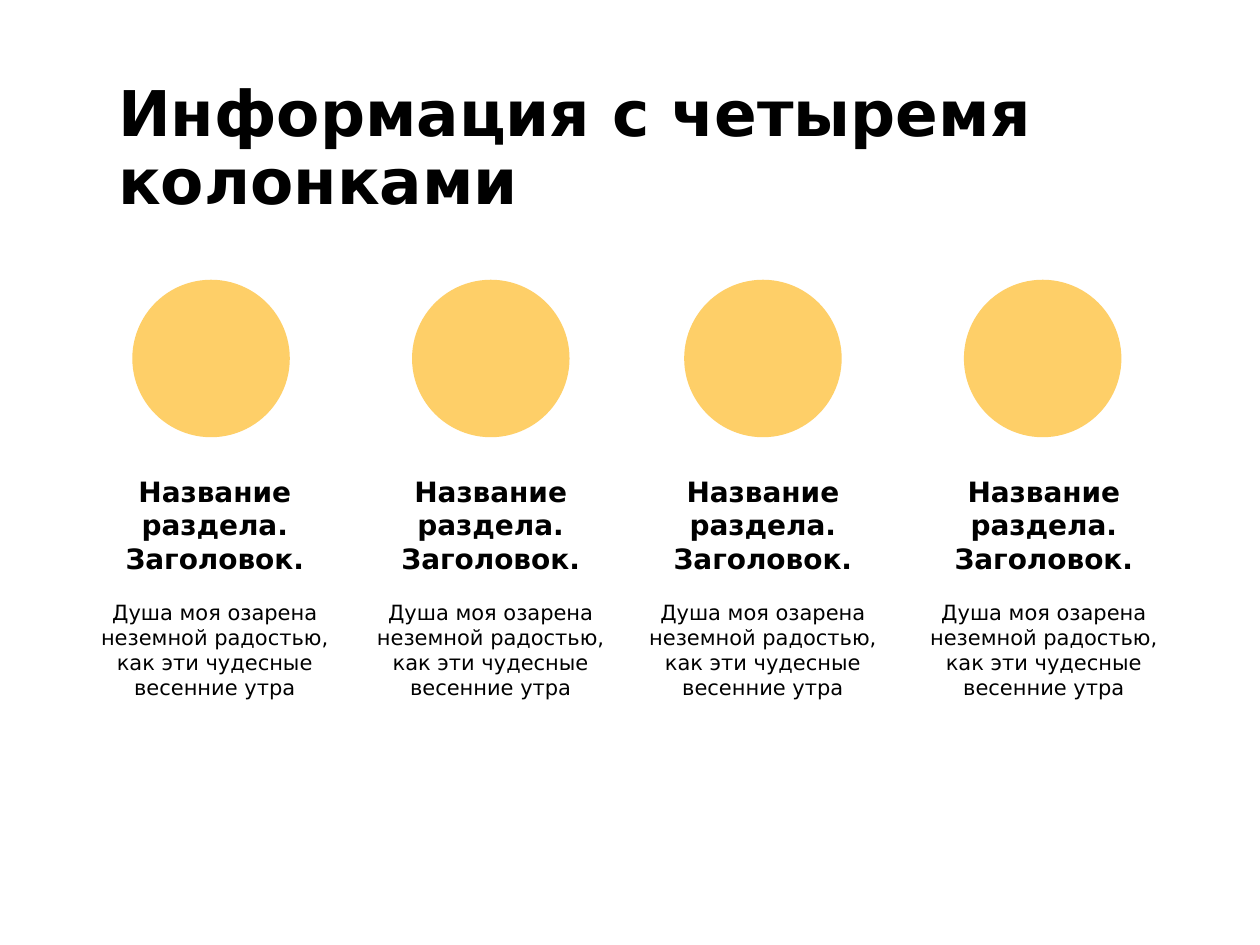
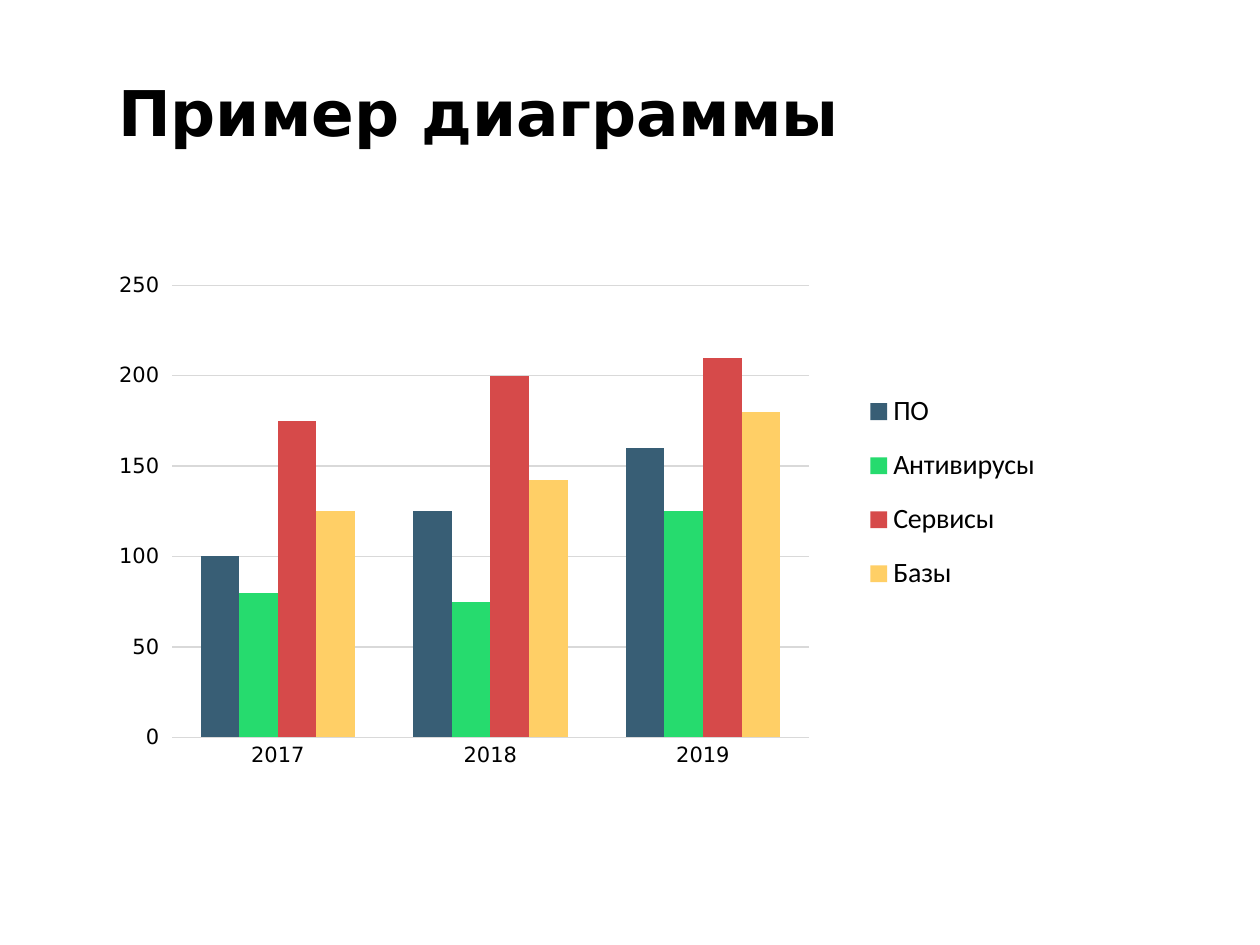
import pptx
import pptx.chart.data
import pptx.dml.color
import pptx.enum.chart
import pptx.enum.shapes
import pptx.enum.text
import pptx.oxml
import pptx.oxml.ns
import pptx.util

Inches = pptx.util.Inches
Pt = pptx.util.Pt

TEXT_FONT = "DejaVu Sans"
LEGEND_FONT = "Calibri"
BLACK = "000000"
YELLOW = "FECF68"
GRID_GRAY = "D9D9D9"

# Left edges of the circle and of the text in each column
COLUMNS = [(1.05, 0.74), (3.27, 2.93), (5.43, 5.09), (7.65, 7.32)]
YEARS = ["2017", "2018", "2019"]
SALES = [
    ("ПО", (100, 125, 160), "385E75"),
    ("Антивирусы", (80, 75, 125), "26DB6E"),
    ("Сервисы", (175, 200, 210), "D64A4A"),
    ("Базы", (125, 142, 180), "FFCF66"),
]


def color(value):
    return pptx.dml.color.RGBColor.from_string(value)


def style_font(font, size, bold=False, name=TEXT_FONT):
    font.name = name
    font.size = Pt(size)
    font.bold = bold
    font.color.rgb = color(BLACK)


def add_text_box(slide, left, top, width, height):
    box = slide.shapes.add_textbox(Inches(left), Inches(top), Inches(width), Inches(height))
    box.text_frame.word_wrap = True
    return box.text_frame


def add_span(para, text, size, bold=False):
    span = para.add_run()
    span.text = text
    style_font(span.font, size, bold)


def add_titled_slide(deck, title):
    slide = deck.slides.add_slide(deck.slide_layouts[6])
    para = add_text_box(slide, 0.84, 0.6, 8.27, 1.31).paragraphs[0]
    para.line_spacing = 0.9
    add_span(para, title, 36, bold=True)
    return slide


def add_circle(slide, left):
    circle = slide.shapes.add_shape(
        pptx.enum.shapes.MSO_SHAPE.OVAL,
        Inches(left), Inches(2.22), Inches(1.25), Inches(1.25))
    circle.shadow.inherit = False
    circle.fill.solid()
    circle.fill.fore_color.rgb = color(YELLOW)
    circle.line.fill.background()


def add_column_text(slide, left):
    frame = add_text_box(slide, left, 3.75, 1.93, 1.82)
    frame.margin_left = frame.margin_right = frame.margin_top = frame.margin_bottom = 0
    frame.vertical_anchor = pptx.enum.text.MSO_ANCHOR.MIDDLE
    heading, subheading, body = frame.paragraphs[0], frame.add_paragraph(), frame.add_paragraph()
    add_span(heading, "Название раздела.", 16, bold=True)
    add_span(subheading, "Заголовок.", 16, bold=True)
    add_span(body, "Душа моя озарена неземной радостью, как эти чудесные весенние утра", 12)
    body.space_before = Pt(14)
    for para in frame.paragraphs:
        para.alignment = pptx.enum.text.PP_ALIGN.CENTER


def set_layout(element, left, top, width, height, inner=False):
    """Place a plot area or legend by fractions of the chart size."""
    for old in element.findall(pptx.oxml.ns.qn("c:layout")):
        element.remove(old)
    target = '<c:layoutTarget val="inner"/>' if inner else ""
    layout = pptx.oxml.parse_xml(
        f'<c:layout {pptx.oxml.ns.nsdecls("c")}><c:manualLayout>{target}'
        '<c:xMode val="edge"/><c:yMode val="edge"/>'
        f'<c:x val="{left}"/><c:y val="{top}"/><c:w val="{width}"/><c:h val="{height}"/>'
        '</c:manualLayout></c:layout>')
    element.insert(0 if inner else 1, layout)


def style_line(line, value):
    line.color.rgb = color(value)
    line.width = Pt(0.75)


def style_axes(chart):
    marks = pptx.enum.chart.XL_TICK_MARK
    for axis, line, mark in ((chart.category_axis, GRID_GRAY, marks.NONE),
                             (chart.value_axis, "FFFFFF", marks.OUTSIDE)):
        style_font(axis.tick_labels.font, 12)
        style_line(axis.format.line, line)
        axis.major_tick_mark = mark
        axis.minor_tick_mark = marks.NONE
    values = chart.value_axis
    values.minimum_scale, values.maximum_scale, values.major_unit = 0, 250, 50
    values.has_major_gridlines = True
    style_line(values.major_gridlines.format.line, GRID_GRAY)


def add_legend(chart):
    chart.has_legend = True
    legend = chart.legend
    legend.position = pptx.enum.chart.XL_LEGEND_POSITION.RIGHT
    legend.include_in_layout = False
    style_font(legend.font, 16, name=LEGEND_FONT)
    set_layout(legend._element, 0.71, 0.34, 0.2, 0.37)


def add_sales_chart(slide):
    data = pptx.chart.data.CategoryChartData()
    data.categories = YEARS
    for name, values, _ in SALES:
        data.add_series(name, values)
    chart = slide.shapes.add_chart(
        pptx.enum.chart.XL_CHART_TYPE.COLUMN_CLUSTERED,
        Inches(0.83), Inches(1.25), Inches(8.31), Inches(5.07), data).chart
    chart.has_title = False
    style_font(chart.font, 10, name=LEGEND_FONT)
    plot = chart.plots[0]
    plot.gap_width = 150
    plot.overlap = 0
    plot.vary_by_categories = False
    for series, (_, _, fill) in zip(plot.series, SALES):
        series.format.fill.solid()
        series.format.fill.fore_color.rgb = color(fill)
    style_axes(chart)
    add_legend(chart)
    set_layout(chart._chartSpace.chart.plotArea, 0.064, 0.2, 0.609, 0.708, inner=True)


def main():
    deck = pptx.Presentation()
    deck.slide_width, deck.slide_height = Inches(10), Inches(7.5)

    columns_slide = add_titled_slide(deck, "Информация с четыремя колонками")
    for circle_left, text_left in COLUMNS:
        add_circle(columns_slide, circle_left)
        add_column_text(columns_slide, text_left)

    add_sales_chart(add_titled_slide(deck, "Пример диаграммы"))
    deck.save("out.pptx")


if __name__ == "__main__":
    main()
